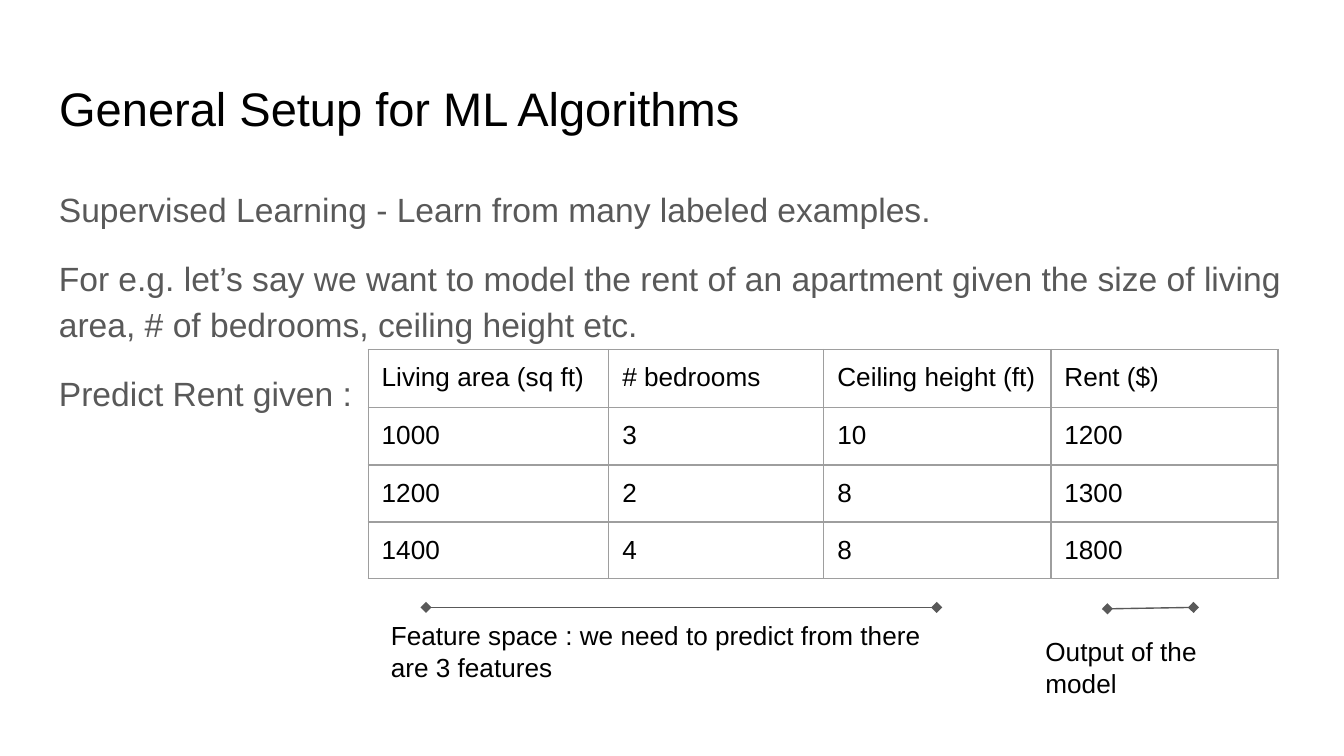
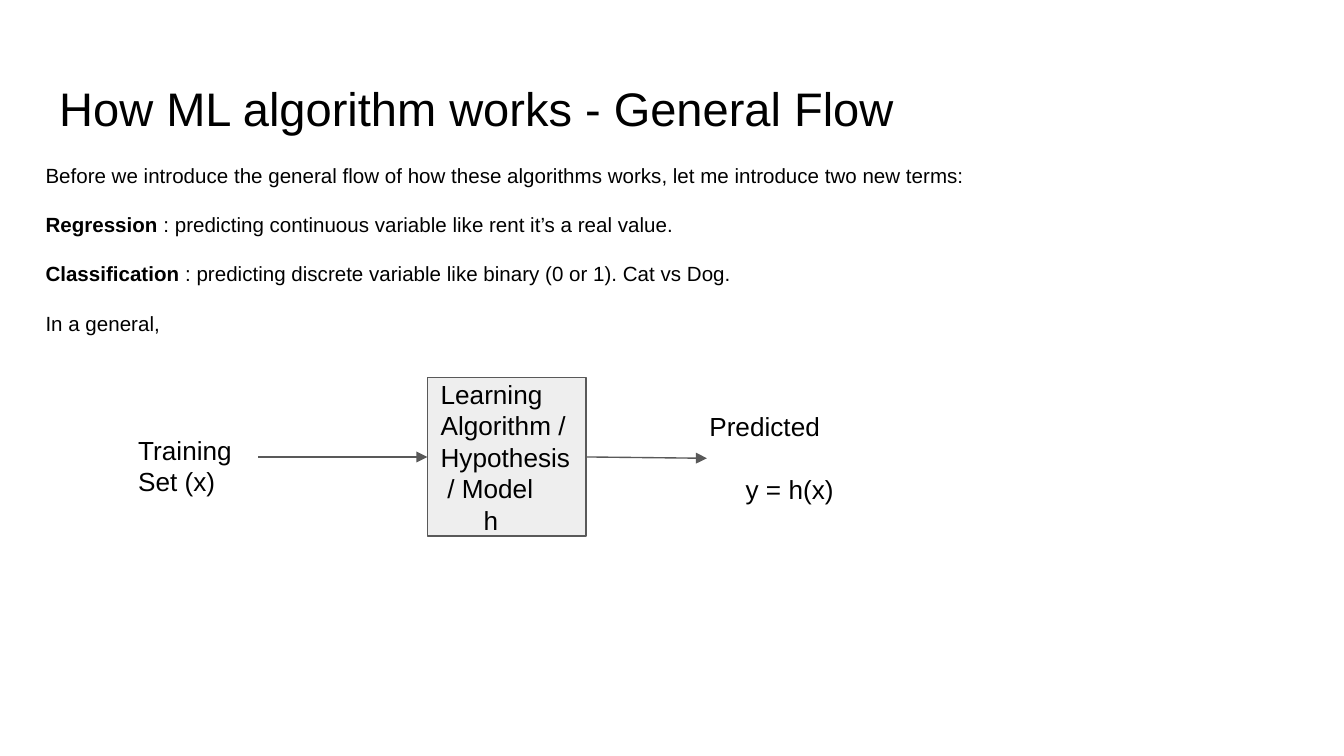
"""Build two slides on supervised learning and the general ML flow."""
from pptx import Presentation
from pptx import util as u
from pptx.dml.color import RGBColor
from pptx.enum import shapes, text
from pptx.oxml.ns import qn
from lxml import etree

BLACK = RGBColor(0x00, 0x00, 0x00)
GREY = RGBColor(0x59, 0x59, 0x59)
PALE = RGBColor(0xEE, 0xEE, 0xEE)
BORDER = RGBColor(0x9E, 0x9E, 0x9E)
FONT = "Arial"
CELL = u.Inches(0.1)
HAIRLINE = u.Pt(0.75)
TITLE_AREA = (3.4, 4.9, 93.2, 6.3)
TITLE_SIZE, LABEL_SIZE = 25.2, 14


def grid(*counts):
    """Turn counts of grid columns or rows into lengths."""
    return [round(count * CELL) for count in counts]


def set_frame(frame, anchor=text.MSO_ANCHOR.TOP):
    """Wrap a text frame and give it one grid cell of margin."""
    frame.word_wrap = True
    frame.vertical_anchor = anchor
    frame.margin_left = frame.margin_right = CELL
    frame.margin_top = frame.margin_bottom = CELL


def style(para, size, color):
    """Set the font and alignment of a paragraph."""
    para.alignment = text.PP_ALIGN.LEFT
    para.font.name = FONT
    para.font.size = u.Pt(size)
    para.font.color.rgb = color


def write(frame, lines, size=LABEL_SIZE, color=BLACK, gap=0, spacing=1.0, indents=()):
    """Write one paragraph per line; a (term, rest) pair has a bold term."""
    for index, line in enumerate(lines):
        para = frame.paragraphs[0] if index == 0 else frame.add_paragraph()
        style(para, size, color)
        para.line_spacing = spacing
        para.space_before = u.Pt(gap if index else 0)
        if isinstance(line, tuple):
            term, rest = line
            span = para.add_run()
            span.text, span.font.bold = term, True
            para.add_run().text = rest
        else:
            para.add_run().text = line
    for para, indent in zip(frame.paragraphs, indents):
        para._p.get_or_add_pPr().set("marL", str(grid(indent)[0]))


def add_page(deck, title):
    """Add a title-only slide with the shared title style."""
    page = deck.slides.add_slide(deck.slide_layouts[5])
    box = page.shapes.title
    box.left, box.top, box.width, box.height = grid(*TITLE_AREA)
    set_frame(box.text_frame)
    write(box.text_frame, [title], TITLE_SIZE)
    return page


def add_text(page, area, lines, **look):
    """Add a wrapped text box."""
    box = page.shapes.add_textbox(*grid(*area))
    set_frame(box.text_frame)
    write(box.text_frame, lines, **look)


def add_block(page, area, lines, **look):
    """Add an outlined rectangle with text."""
    box = page.shapes.add_shape(shapes.MSO_SHAPE.RECTANGLE, *grid(*area))
    box.shadow.inherit = False
    box.fill.solid()
    box.fill.fore_color.rgb = PALE
    box.line.color.rgb = GREY
    box.line.width = HAIRLINE
    set_frame(box.text_frame, text.MSO_ANCHOR.MIDDLE)
    write(box.text_frame, lines, **look)


def add_line(page, start, end, **ends):
    """Add a thin line with the given headEnd and tailEnd marks."""
    line = page.shapes.add_connector(
        shapes.MSO_CONNECTOR.STRAIGHT, *grid(*start), *grid(*end))
    line.line.color.rgb = GREY
    line.line.width = HAIRLINE
    outline = line.line._get_or_add_ln()
    for name, mark in ends.items():
        etree.SubElement(outline, qn(f"a:{name}"), type=mark, w="med", len="med")
    etree.SubElement(line._element.spPr, qn("a:effectLst"))


def add_borders(cell):
    """Draw a thin line on each side of a table cell."""
    props = cell._tc.get_or_add_tcPr()
    for side in "LRTB":
        edge = etree.SubElement(props, qn(f"a:ln{side}"), w=str(HAIRLINE))
        fill = etree.SubElement(edge, qn("a:solidFill"))
        etree.SubElement(fill, qn("a:srgbClr"), val=str(BORDER))


def add_table(page, corner, widths, heights, rows):
    """Add a plain bordered table."""
    size = (sum(widths), sum(heights))
    table = page.shapes.add_table(
        len(heights), len(widths), *grid(*corner, *size)).table
    table.first_row = table.horz_banding = False
    for column, width in zip(table.columns, grid(*widths)):
        column.width = width
    for row, height, values in zip(table.rows, grid(*heights), rows):
        row.height = height
        for cell, value in zip(row.cells, values):
            cell.margin_left = cell.margin_right = cell.margin_top = CELL
            cell.margin_bottom = u.Inches(0.09)
            write(cell.text_frame, [value])
            add_borders(cell)
            cell.fill.background()


def build_setup(deck):
    """Build the slide on supervised learning with the rent table."""
    page = add_page(deck, "General Setup for ML Algorithms")
    add_text(page, (3.4, 12.6, 94.6, 42.7), [
        "Supervised Learning - Learn from many labeled examples.",
        "For e.g. let’s say we want to model the rent of an apartment given "
        "the size of living area, # of bedrooms, ceiling height etc.",
        "Predict Rent given :",
    ], size=18, color=GREY, gap=12, spacing=1.15)
    add_table(page, (27.4, 26), (17.9, 16, 16.9, 16.9), (4.3, 4.3, 4.2, 4.2), [
        ("Living area (sq ft)", "# bedrooms", "Ceiling height (ft)", "Rent ($)"),
        ("1000", "3", "10", "1200"),
        ("1200", "2", "8", "1300"),
        ("1400", "4", "8", "1800"),
    ])
    diamonds = {"headEnd": "diamond", "tailEnd": "diamond"}
    add_line(page, (31.7, 45.2), (69.7, 45.2), **diamonds)
    add_text(page, (28.1, 45.1, 43.7, 6.7),
             ["Feature space : we need to predict from there are 3 features"])
    add_line(page, (82.4, 45.3), (88.8, 45.2), **diamonds)
    add_text(page, (76.8, 46.3, 19, 6.7), ["Output of the model"])


def build_flow(deck):
    """Build the slide on the two terms and the flow from data to prediction."""
    page = add_page(deck, "How ML algorithm works - General Flow")
    add_text(page, (2.4, 11.1, 93.2, 37.4), [
        "Before we introduce the general flow of how these algorithms works, "
        "let me introduce two new terms:",
        ("Regression", " : predicting continuous variable like rent it’s a real value."),
        ("Classification",
         " : predicting discrete variable like binary (0 or 1). Cat vs Dog."),
        "In a general,",
    ], size=11, gap=13.2)
    add_block(page, (31.8, 28.1, 11.8, 11.8),
              ["Learning Algorithm / Hypothesis", "/ Model", "h"],
              indents=(0, 0.5, 3.2))
    add_line(page, (19.2, 34), (31.8, 34), tailEnd="triangle")
    add_line(page, (43.6, 34), (52.6, 34.1), tailEnd="triangle")
    add_text(page, (9.3, 31.3, 11.8, 6.7), ["Training Set (x)"])
    add_text(page, (51.8, 29.5, 13.6, 9.1), ["Predicted", "y = h(x)"],
             gap=17, indents=(0, 2.7))


def main():
    """Create the deck and save it."""
    deck = Presentation()
    deck.slide_width = u.Inches(10)
    deck.slide_height = deck.slide_width * 9 // 16
    build_setup(deck)
    build_flow(deck)
    deck.save("out.pptx")


if __name__ == "__main__":
    main()
